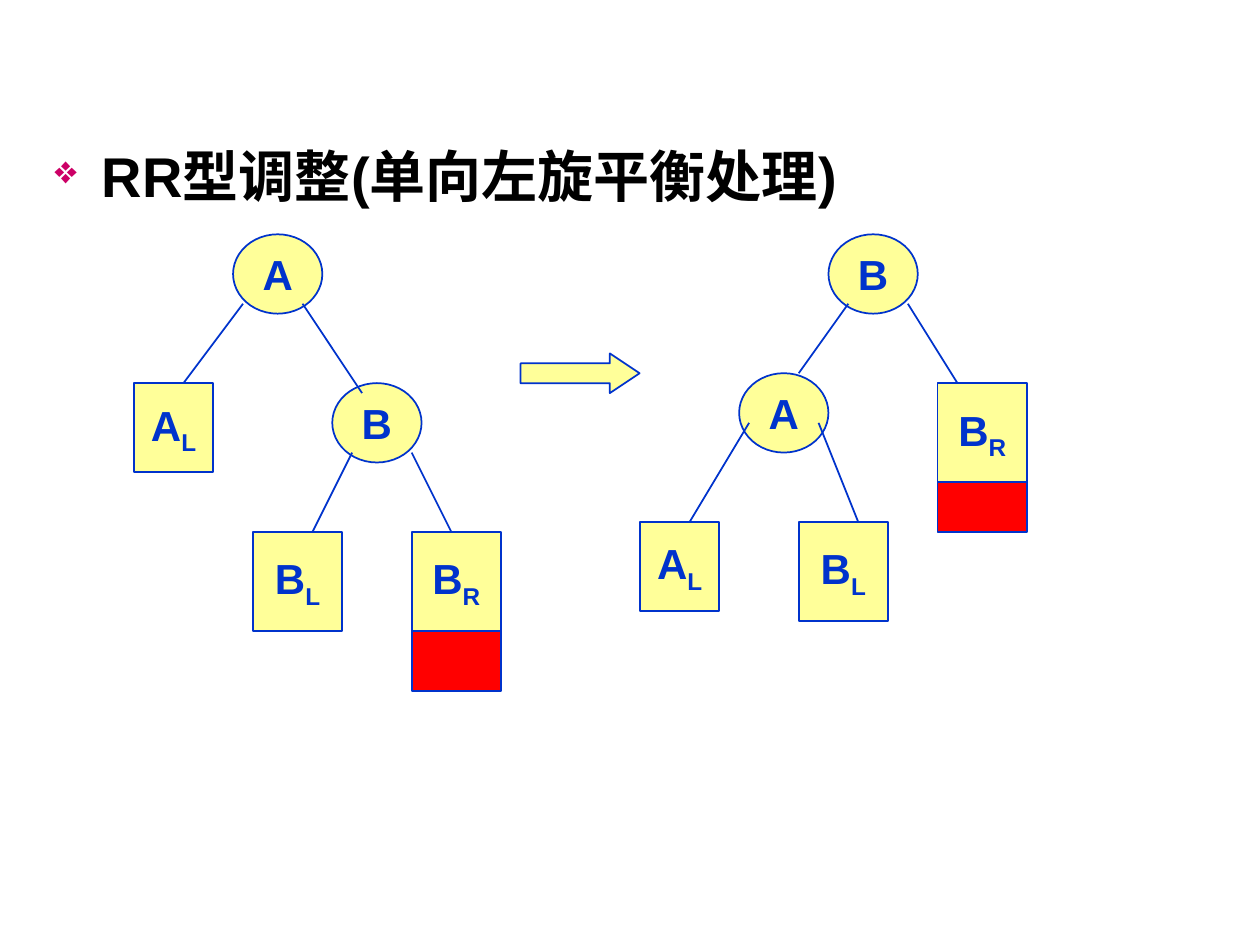
from lxml.etree import SubElement
from pptx import Presentation
from pptx.dml.color import RGBColor
from pptx.enum.shapes import MSO_CONNECTOR, MSO_SHAPE
from pptx.enum.text import MSO_ANCHOR, MSO_AUTO_SIZE, PP_ALIGN
from pptx.oxml.ns import qn
from pptx.util import Pt

BLACK = RGBColor(0x00, 0x00, 0x00)
BLUE = RGBColor(0x00, 0x33, 0xCC)
YELLOW = RGBColor(0xFF, 0xFF, 0x99)
RED = RGBColor(0xFF, 0x00, 0x00)
FONT = "Arial"
UNIT = 5.67

BEFORE = {
    "inserted": (28, 40, 9, 6),
    "nodes": [("A", 10, 0), ("B", 20, 15)],
    "subtrees": [("A", "L", 0, 15, 8, 9), ("B", "L", 12, 30, 9, 10), ("B", "R", 28, 30, 9, 10)],
    "edges": [(11, 7, 5, 15), (17, 7, 23, 16), (22, 22, 18, 30), (28, 22, 32, 30)],
}
AFTER = {
    "inserted": (30, 24, 9, 6),
    "nodes": [("B", 19, 0), ("A", 10, 14)],
    "subtrees": [("B", "R", 30, 15, 9, 10), ("A", "L", 0, 29, 8, 9), ("B", "L", 16, 29, 9, 10)],
    "edges": [(21, 7, 16, 14), (27, 7, 32, 15), (11, 19, 5, 29), (18, 19, 22, 29)],
}


def style_font(font, size, color):
    """Give a font the bold face of this slide."""
    font.name, font.size, font.bold = FONT, Pt(size), True
    font.color.rgb = color


def add_heading(slide, left, top, width, height):
    """Place the title as a bulleted heading in the given box."""
    heading = slide.shapes.title
    heading.left, heading.top, heading.width, heading.height = map(Pt, (left, top, width, height))
    frame = heading.text_frame
    frame.text = "RR型调整(单向左旋平衡处理)"
    frame.word_wrap = True
    frame.auto_size = MSO_AUTO_SIZE.NONE
    frame.vertical_anchor = MSO_ANCHOR.TOP
    paragraph = frame.paragraphs[0]
    paragraph.alignment = PP_ALIGN.LEFT
    props = paragraph._p.get_or_add_pPr()
    props.set("marL", str(Pt(27)))
    props.set("indent", str(-Pt(27)))
    SubElement(SubElement(props, qn("a:buClr")), qn("a:srgbClr"), val="CC0066")
    SubElement(props, qn("a:buSzPct"), val="70000")
    SubElement(props, qn("a:buChar"), char="❖")
    style_font(paragraph.runs[0].font, 32, BLACK)


def add_part(slide, kind, left, top, width, height, fill=YELLOW):
    """Add one outlined preset shape in the given box."""
    part = slide.shapes.add_shape(kind, *map(Pt, (left, top, width, height)))
    part.shadow.inherit = False
    part.fill.solid()
    part.fill.fore_color.rgb = fill
    part.line.color.rgb = BLUE
    part.line.width = Pt(1)
    return part


def add_label(part, letter, side=""):
    """Write a letter with an optional subscript in the middle of a part."""
    frame = part.text_frame
    frame.word_wrap = False
    frame.vertical_anchor = MSO_ANCHOR.MIDDLE
    paragraph = frame.paragraphs[0]
    paragraph.text = letter
    paragraph.alignment = PP_ALIGN.CENTER
    if side:
        subscript = paragraph.add_run()
        subscript.text = side
        subscript._r.get_or_add_rPr().set("baseline", "-25000")
    for run in paragraph.runs:
        style_font(run.font, 24, BLUE)


def add_edge(slide, start_x, start_y, end_x, end_y):
    """Join two points with a thin line."""
    edge = slide.shapes.add_connector(
        MSO_CONNECTOR.STRAIGHT, *map(Pt, (start_x, start_y, end_x, end_y)))
    edge.line.color.rgb = BLUE
    edge.line.width = Pt(1)
    SubElement(edge._element.spPr, qn("a:effectLst"))


def add_tree(slide, left, top, tree):
    """Draw a tree on the unit grid that starts at the given corner."""
    def box(x, y, width, height):
        """Turn grid cells into a box in points."""
        return left + x * UNIT, top + y * UNIT, width * UNIT, height * UNIT

    add_part(slide, MSO_SHAPE.RECTANGLE, *box(*tree["inserted"]), RED)
    for letter, x, y in tree["nodes"]:
        add_label(add_part(slide, MSO_SHAPE.OVAL, *box(x, y, 9, 8)), letter)
    for letter, side, *cells in tree["subtrees"]:
        add_label(add_part(slide, MSO_SHAPE.RECTANGLE, *box(*cells)), letter, side)
    for x1, y1, x2, y2 in tree["edges"]:
        add_edge(slide, left + x1 * UNIT, top + y1 * UNIT, left + x2 * UNIT, top + y2 * UNIT)


def add_rotation_arrow(slide, left, top, width, height):
    """Place the arrow that leads from one tree to the other."""
    arrow = add_part(slide, MSO_SHAPE.RIGHT_ARROW, left, top, width, height)
    arrow.adjustments[0] = 0.5
    arrow.adjustments[1] = 0.75


def main():
    """Build the slide and save it."""
    deck = Presentation()
    deck.slide_width, deck.slide_height = Pt(720), Pt(540)
    slide = deck.slides.add_slide(deck.slide_layouts[5])
    add_heading(slide, 24, 77, 672, 384.5)
    add_tree(slide, 76.5, 133.9, BEFORE)
    add_rotation_arrow(slide, 297.5, 202, 12 * UNIT, 4 * UNIT)
    add_tree(slide, 365.7, 133.9, AFTER)
    deck.save("out.pptx")


if __name__ == "__main__":
    main()
